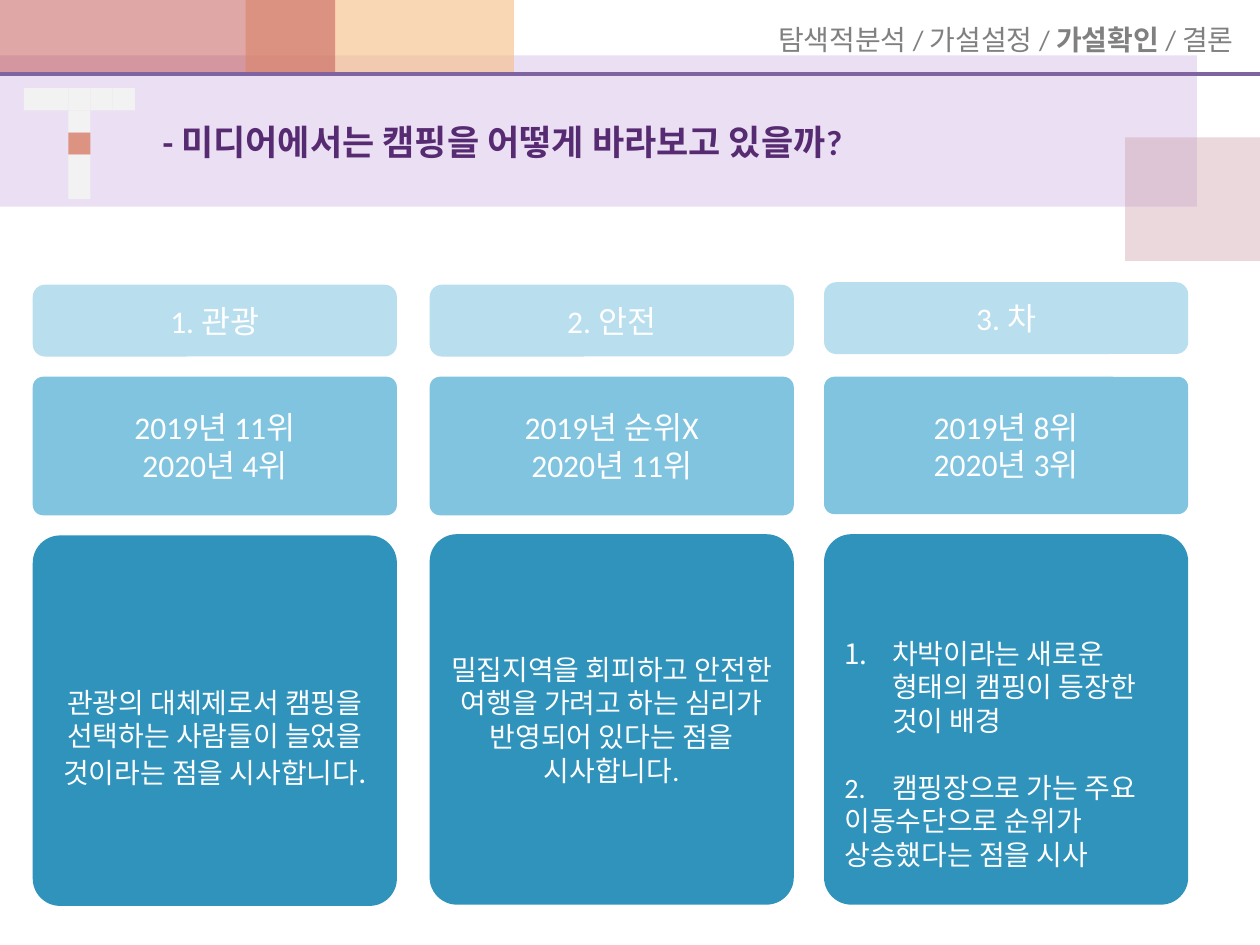
"""Build the slide on how the media sees camping."""
from lxml.etree import SubElement
from pptx import Presentation
from pptx.dml.color import RGBColor
from pptx.enum.shapes import MSO_CONNECTOR, MSO_SHAPE
from pptx.enum.text import MSO_ANCHOR, MSO_AUTO_SIZE, PP_ALIGN
from pptx.oxml.ns import qn
from pptx.util import Inches, Pt

WHITE = RGBColor(0xFF, 0xFF, 0xFF)
GRAY = RGBColor(0x80, 0x80, 0x80)
PALE = RGBColor(0xF2, 0xF2, 0xF2)
CORAL = RGBColor(0xDC, 0x93, 0x81)
PLUM = RGBColor(0x56, 0x2B, 0x71)
VIOLET = RGBColor(0x80, 0x64, 0xA2)
LILAC = RGBColor(0xBF, 0x98, 0xD8)
ROSE = RGBColor(0xCC, 0x9E, 0xAC)
PEACH = RGBColor(0xF5, 0xBC, 0x83)
RED = RGBColor(0xC0, 0x50, 0x4D)
ICE = RGBColor(0xB9, 0xDE, 0xEE)
SKY = RGBColor(0x81, 0xC4, 0xE0)
BLUE = RGBColor(0x2F, 0x93, 0xBC)

BANDS = [
    ((0, 0.44, 9.5, 1.2), LILAC, 30),
    ((8.93, 1.09, 1.07, 0.98), ROSE, 40),
    ((1.95, 0, 2.13, 0.59), PEACH, 60),
    ((0, 0, 2.66, 0.59), RED, 50),
]
TOPICS = [
    (0.26, 2.26, "1. 관광", ["2019년 11위", "2020년 4위"], 1.1),
    (3.41, 2.26, "2. 안전", ["2019년 순위X", "2020년 11위"], 1.1),
    (6.54, 2.24, "3. 차", ["2019년 8위", "2020년 3위"], 1.09),
]
TOUR = "관광의 대체제로서 캠핑을 선택하는 사람들이 늘었을 것이라는 점을 시사합니다"
SAFE = "밀집지역을 회피하고 안전한 여행을 가려고 하는 심리가 반영되어 있다는 점을 시사합니다."
CAR = [
    "차박이라는 새로운 형태의 캠핑이 등장한 것이 배경",
    "2.\t캠핑장으로 가는 주요 이동수단으로 순위가 상승했다는 점을 시사",
]


class Deck:
    """Hold the style and the current slide."""

    face = "Calibri"

    def __init__(self):
        self.show = Presentation()
        self.show.slide_width, self.show.slide_height = Inches(10), Inches(7.5)
        self.slide = self.show.slides.add_slide(self.show.slide_layouts[5])
        self.shapes = self.slide.shapes

    def style(self, font, size, color, bold=False):
        font.name, font.size, font.bold = self.face, Pt(size), bold
        font.color.rgb = color

    def put(self, frame, lines, size, color, align=PP_ALIGN.CENTER, bold=False):
        frame.word_wrap = True
        frame.vertical_anchor = MSO_ANCHOR.MIDDLE
        frame.text = "\n".join(lines)
        for para in frame.paragraphs:
            para.alignment = align
            self.style(para.font, size, color, bold)

    def block(self, box, color, kind=MSO_SHAPE.RECTANGLE, alpha=None, home=None):
        shape = (home or self.shapes).add_shape(kind, *map(Inches, box))
        shape.shadow.inherit = False
        shape.fill.solid()
        shape.fill.fore_color.rgb = color
        shape.line.fill.background()
        if alpha:
            tint = shape._element.spPr.find(".//" + qn("a:srgbClr"))
            SubElement(tint, qn("a:alpha"), val=str(alpha * 1000))
        return shape

    def card(self, box, color, lines, size, curve=0.075):
        shape = self.block(box, color, MSO_SHAPE.ROUNDED_RECTANGLE)
        shape.adjustments[0] = curve
        self.put(shape.text_frame, lines, size, WHITE)
        return shape.text_frame

    def rule(self, top, color, width):
        line = self.shapes.add_connector(
            MSO_CONNECTOR.STRAIGHT, 0, Inches(top), Inches(10), Inches(top))
        line.line.color.rgb, line.line.width = color, Pt(width)
        SubElement(line._element.spPr, qn("a:effectLst"))

    def title(self, box, text):
        shape = self.shapes.title
        shape.left, shape.top, shape.width, shape.height = map(Inches, box)
        self.put(shape.text_frame, [text], 20, PLUM, PP_ALIGN.LEFT, True)
        shape.text_frame.auto_size = MSO_AUTO_SIZE.NONE
        self.shapes._spTree.append(shape._element)

    def mark(self, left, top, side):
        group = self.shapes.add_group_shape().shapes
        bar = [(col, 0) for col in range(5)]
        stem = [(2, row) for row in range(1, 5)]
        for col, row in bar + stem:
            box = (left + col * side, top + row * side, side, side)
            self.block(box, CORAL if (col, row) == (2, 2) else PALE, home=group)

    def trail(self, box, parts):
        frame = self.shapes.add_textbox(*map(Inches, box)).text_frame
        frame.word_wrap = True
        frame.auto_size = MSO_AUTO_SIZE.SHAPE_TO_FIT_TEXT
        para = frame.paragraphs[0]
        para.alignment = PP_ALIGN.RIGHT
        for text, bold in parts:
            run = para.add_run()
            run.text = text
            self.style(run.font, 16, GRAY, bold)

    def steps(self, frame):
        frame.margin_top = Inches(0.59)
        first, last = frame.paragraphs
        for para in (first, last):
            para.alignment = PP_ALIGN.LEFT
        props = first._p.get_or_add_pPr()
        props.set("marL", str(Inches(0.38)))
        props.set("indent", str(-Inches(0.38)))
        props.insert(0, props.makeelement(qn("a:buAutoNum"), {"type": "arabicPeriod"}))
        last.space_before = Pt(19)
        tabs = props.makeelement(qn("a:tabLst"), {})
        SubElement(tabs, qn("a:tab"), pos=str(Inches(0.38)), algn="l")
        last._p.pPr.find(qn("a:defRPr")).addprevious(tabs)


def main():
    deck = Deck()
    for box, color, alpha in BANDS:
        deck.block(box, color, alpha=alpha)
    deck.rule(0.59, VIOLET, 2.25)
    for left, top, name, ranks, high in TOPICS:
        deck.card((left, top, 2.89, 0.57), ICE, [name], 18, 0.17)
        deck.card((left, 2.99, 2.89, high), SKY, ranks, 18)

    tour = deck.card((0.26, 4.25, 2.89, 2.94), BLUE, [TOUR], 16)
    tour.margin_top = Inches(0.32)
    stop = tour.paragraphs[0].add_run()
    stop.text = "."
    stop.font.size = Pt(18)
    deck.card((3.41, 4.24, 2.89, 2.94), BLUE, [SAFE], 16)
    deck.steps(deck.card((6.54, 4.24, 2.89, 2.94), BLUE, CAR, 16))

    deck.title((1.19, 0.76, 7.63, 0.72), "- 미디어에서는 캠핑을 어떻게 바라보고 있을까?")
    deck.mark(0.19, 0.7, 0.88 / 5)
    deck.trail((5.29, 0.13, 4.6, 0.37), [
        ("탐색적분석 / 가설설정 / ", False), ("가설확인 ", True), ("/ 결론", False)])
    deck.show.save("out.pptx")


if __name__ == "__main__":
    main()
